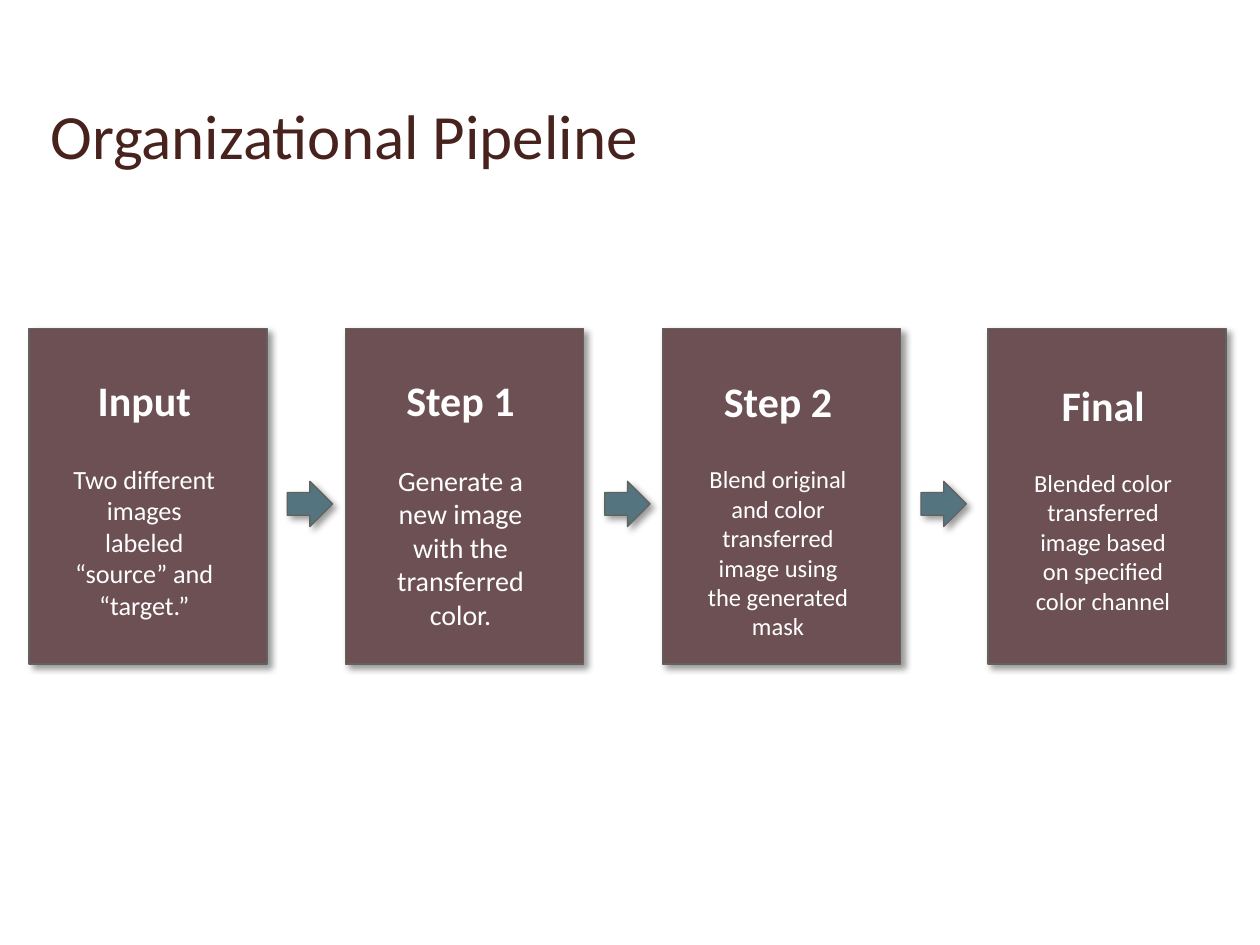
from dataclasses import dataclass

from lxml import etree
from pptx import Presentation
from pptx.dml.color import RGBColor
from pptx.enum.shapes import MSO_SHAPE
from pptx.enum.text import MSO_ANCHOR, MSO_AUTO_SIZE, PP_ALIGN
from pptx.oxml.ns import qn
from pptx.util import Inches, Pt

RECTANGLE, ARROW = MSO_SHAPE.RECTANGLE, MSO_SHAPE.RIGHT_ARROW
LEFT, CENTER = PP_ALIGN.LEFT, PP_ALIGN.CENTER
BOTTOM, TOP = MSO_ANCHOR.BOTTOM, MSO_ANCHOR.TOP
NO_FIT, GROW = MSO_AUTO_SIZE.NONE, MSO_AUTO_SIZE.SHAPE_TO_FIT_TEXT
TITLE_ONLY = 5


@dataclass(frozen=True)
class Theme:
    """Colours, font and type sizes of the slide."""
    font: str = "Calibri"
    title: str = "48231E"
    card: str = "6C5054"
    arrow: str = "547480"
    outline: str = "61625E"
    text: str = "FFFFFF"
    shadow: str = "000000"
    title_size: int = 36
    heading_size: int = 24
    heading_gap: int = 22


THEME = Theme()
CARD_TOP, CARD_WIDTH, CARD_HEIGHT = 2.61, 1.89, 2.66
TEXT_INSET, TEXT_WIDTH = 0.21, 1.41
ARROW_TOP, ARROW_SIZE = 3.82, 0.36
STAGES = [
    (0.23, 2.92, 2.07, "Input", 15,
     "Two different images labeled “source” and “target.”"),
    (2.74, 2.92, 2.15, "Step 1", 16,
     "Generate a new image with the transferred color."),
    (5.26, 2.93, 2.22, "Step 2", 14,
     "Blend original and color transferred image using the generated mask"),
    (7.84, 2.96, 1.99, "Final", 14,
     "Blended color transferred image based on specified color channel"),
]
ARROW_LEFTS = [2.28, 4.8, 7.31]


def apply_format(target, values):
    """Set every attribute named in a dict of format values."""
    for name, value in values.items():
        setattr(target, name, value)


def write_paragraph(paragraph, text, size, color, bold=False, alignment=CENTER, gap=0):
    """Write one run with its font and paragraph format."""
    apply_format(paragraph, {"alignment": alignment, "space_before": Pt(gap)})
    run = paragraph.add_run()
    run.text = text
    apply_format(run.font, {"name": THEME.font, "size": Pt(size), "bold": bold})
    run.font.color.rgb = RGBColor.from_string(color)


def add_shadow(shape):
    """Give a shape a soft shadow to the lower right."""
    effects = etree.SubElement(shape._element.spPr, qn("a:effectLst"))
    shadow = etree.SubElement(effects, qn("a:outerShdw"), {
        "blurRad": str(Pt(4)), "dist": str(Pt(3)), "dir": "2700000",
        "algn": "br", "rotWithShape": "0"})
    color = etree.SubElement(shadow, qn("a:srgbClr"), val=THEME.shadow)
    etree.SubElement(color, qn("a:alpha"), val="40000")


def add_block(slide, kind, left, top, width, height, fill):
    """Add a filled, outlined preset shape with a shadow."""
    shape = slide.shapes.add_shape(
        kind, Inches(left), Inches(top), Inches(width), Inches(height))
    shape.fill.solid()
    shape.fill.fore_color.rgb = RGBColor.from_string(fill)
    shape.line.color.rgb = RGBColor.from_string(THEME.outline)
    shape.line.width = Pt(0.75)
    add_shadow(shape)


def add_title(slide, text):
    """Place and format the slide title."""
    title = slide.shapes.title
    apply_format(title, {"left": Inches(0.3), "top": Inches(0.25),
                         "width": Inches(9.4), "height": Inches(1.17)})
    apply_format(title.text_frame, {
        "vertical_anchor": BOTTOM, "auto_size": NO_FIT, "word_wrap": True})
    write_paragraph(title.text_frame.paragraphs[0], text, THEME.title_size,
                    THEME.title, alignment=LEFT, gap=4)


def add_stage(slide, left, text_top, text_height, heading, body_size, body):
    """Add one pipeline card with its heading and description."""
    add_block(slide, RECTANGLE, left, CARD_TOP, CARD_WIDTH, CARD_HEIGHT, THEME.card)
    box = slide.shapes.add_textbox(
        Inches(left + TEXT_INSET), Inches(text_top),
        Inches(TEXT_WIDTH), Inches(text_height))
    frame = box.text_frame
    apply_format(frame, {"word_wrap": True, "auto_size": GROW, "vertical_anchor": TOP})
    write_paragraph(frame.paragraphs[0], heading, THEME.heading_size, THEME.text, bold=True)
    write_paragraph(frame.add_paragraph(), body, body_size, THEME.text,
                    gap=THEME.heading_gap)


def main():
    """Build the pipeline slide and save it."""
    presentation = Presentation()
    apply_format(presentation, {"slide_width": Inches(10), "slide_height": Inches(7.5)})
    slide = presentation.slides.add_slide(presentation.slide_layouts[TITLE_ONLY])
    add_title(slide, "Organizational Pipeline")
    for stage in STAGES:
        add_stage(slide, *stage)
    for left in ARROW_LEFTS:
        add_block(slide, ARROW, left, ARROW_TOP, ARROW_SIZE, ARROW_SIZE, THEME.arrow)
    presentation.save("out.pptx")


if __name__ == "__main__":
    main()
